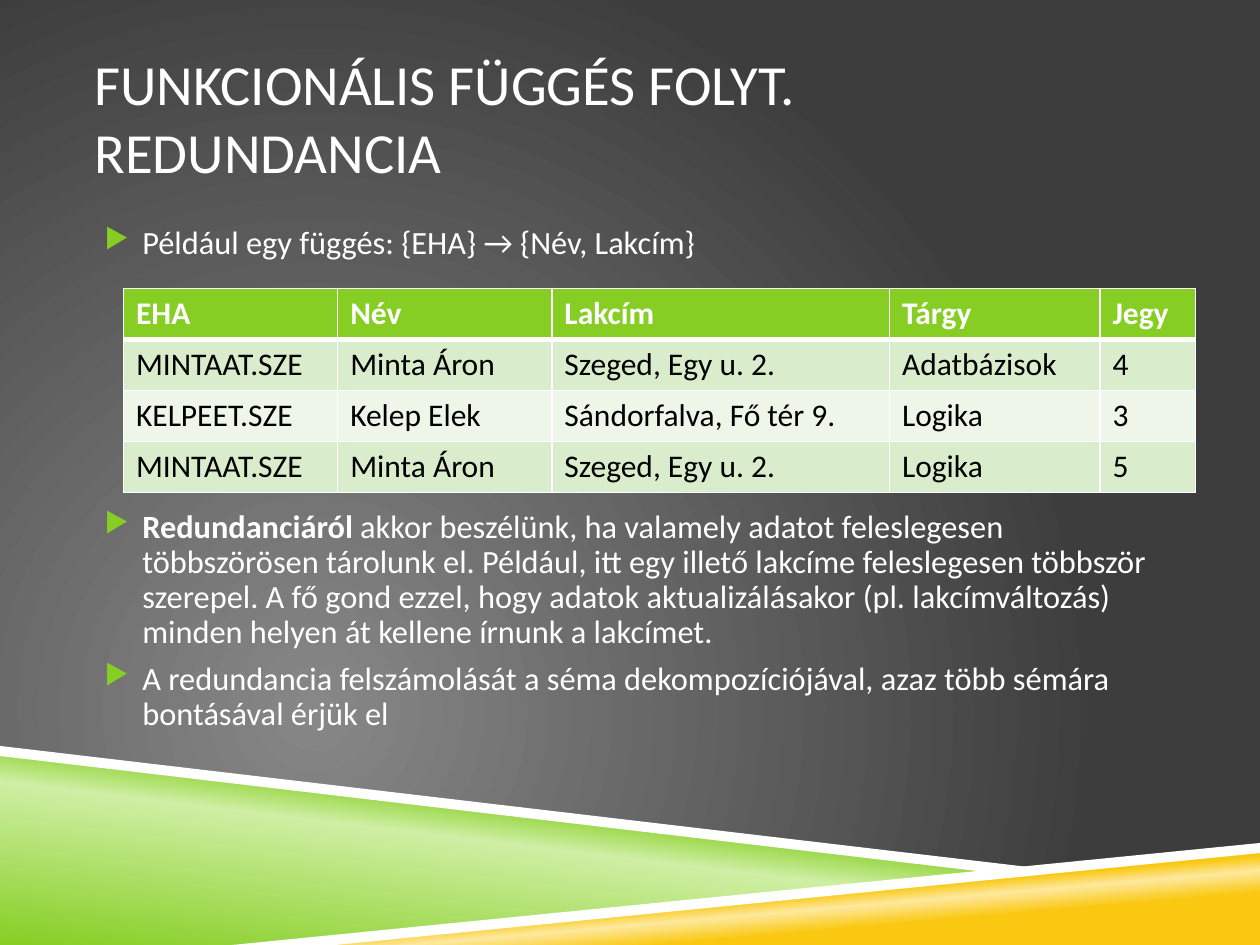
from lxml import etree
from pptx import Presentation
from pptx import util as u
from pptx.dml.color import RGBColor
from pptx.enum import text
from pptx.oxml import ns

COLOURS = {
    "white": "FFFFFF", "black": "000000",
    "grey": "878787", "dark grey": "3D3D3D",
    "green": "86CE24", "light green": "CFEFA4",
    "yellow": "FAC810", "light yellow": "FDE99F",
    "odd row": "D9EDCD", "even row": "EDF6E8",
}
FONT = "Calibri"


def add_element(parent, tag, **attributes):
    element = etree.SubElement(parent, ns.qn(tag))
    for name, value in attributes.items():
        element.set(name, str(value))
    return element


def set_gradient(parent, stops, angle=None):
    """Replace the solid fill of parent by a linear gradient, or a radial one without an angle."""
    gradient = etree.Element(ns.qn("a:gradFill"), rotWithShape="1")
    stop_list = add_element(gradient, "a:gsLst")
    for position, colour in stops:
        stop = add_element(stop_list, "a:gs", pos=position * 1000)
        add_element(stop, "a:srgbClr", val=COLOURS[colour])
    if angle is None:
        circle = add_element(gradient, "a:path", path="circle")
        add_element(circle, "a:fillToRect", l=50000, t=100000, r=100000, b=50000)
    else:
        add_element(gradient, "a:lin", ang=angle * 60000, scaled=0)
    parent.replace(parent.find(ns.qn("a:solidFill")), gradient)


deck = Presentation()
deck.slide_width, deck.slide_height = u.Inches(10), u.Inches(7.5)
page = deck.slides.add_slide(deck.slide_layouts[6])

# Background
page.background.fill.solid()
set_gradient(page.element.find(".//" + ns.qn("p:bgPr")), [(0, "grey"), (100, "dark grey")])

# Wedges and white stripes along the bottom: corners, colour or gradient stops, angle
bands = [
    ([(0, 5.97), (7.92, 6.92), (2, 7.5), (0, 7.5)],
     [(0, "green"), (52, "light green"), (66, "green")], 277),
    ([(1.98, 7.5), (10, 6.72), (10, 7.5)],
     [(28, "yellow"), (40, "light yellow"), (48, "yellow")], 265),
    ([(0, 5.92), (0, 6), (7.9, 6.93), (8.32, 6.9)], "white", None),
    ([(10, 6.69), (1.84, 7.5), (2.66, 7.5), (10, 6.77)], "white", None),
]
for corners, paint, angle in bands:
    points = [(u.Inches(x), u.Inches(y)) for x, y in corners]
    builder = page.shapes.build_freeform(*points[0])
    builder.add_line_segments(points[1:], close=True)
    band = builder.convert_to_shape()
    band.shadow.inherit = False
    band.line.fill.background()
    band.fill.solid()
    if angle is None:
        band.fill.fore_color.rgb = RGBColor.from_string(COLOURS[paint])
    else:
        set_gradient(band.element.spPr, paint, angle)

# Title and body boxes
frames = []
for top, height, anchor in [(0.3, 1.25, text.MSO_ANCHOR.MIDDLE), (1.75, 4.35, text.MSO_ANCHOR.TOP)]:
    box = page.shapes.add_textbox(u.Inches(0.75), u.Inches(top), u.Inches(8.5), u.Inches(height))
    frame = box.text_frame
    frame.word_wrap = True
    frame.vertical_anchor = anchor
    frame.margin_left = frame.margin_right = 0
    frames.append(frame)
title, body = frames

title.text = "FUNKCIONÁLIS FÜGGÉS FOLYT.\vREDUNDANCIA"
for span in title.paragraphs[0].runs:
    span.font.size = u.Pt(32.4)

# Body bullets: space before in points, then bold and plain text; the second clears the table
bullets = [
    (0, "", "Például egy függés: {EHA} → {Név, Lakcím}"),
    (142, "Redundanciáról ",
     "akkor beszélünk, ha valamely adatot feleslegesen többszörösen tárolunk el. "
     "Például, itt egy illető lakcíme feleslegesen többször szerepel. A fő gond ezzel, "
     "hogy adatok aktualizálásakor (pl. lakcímváltozás) minden helyen át kellene írnunk a lakcímet."),
    (7, "", "A redundancia felszámolását a séma dekompozíciójával, "
            "azaz több sémára bontásával érjük el"),
]
for index, (space, bold_text, plain_text) in enumerate(bullets):
    para = body.paragraphs[0] if index == 0 else body.add_paragraph()
    para.line_spacing = 0.9
    para.space_before = u.Pt(space)
    properties = para._p.get_or_add_pPr()
    properties.set("marL", str(u.Inches(0.38)))
    properties.set("indent", str(u.Inches(-0.3)))
    add_element(add_element(properties, "a:buClr"), "a:srgbClr", val=COLOURS["green"])
    add_element(properties, "a:buSzPct", val=85000)
    add_element(properties, "a:buChar", char="▶")
    for words, bold in [(bold_text, True), (plain_text, False)]:
        if words:
            span = para.add_run()
            span.text = words
            span.font.size = u.Pt(18.5)
            span.font.bold = bold

for frame in frames:
    for para in frame.paragraphs:
        for span in para.runs:
            span.font.name = FONT
            span.font.color.rgb = RGBColor.from_string(COLOURS["white"])

# Table
records = [
    ["EHA", "Név", "Lakcím", "Tárgy", "Jegy"],
    ["MINTAAT.SZE", "Minta Áron", "Szeged, Egy u. 2.", "Adatbázisok", "4"],
    ["KELPEET.SZE", "Kelep Elek", "Sándorfalva, Fő tér 9.", "Logika", "3"],
    ["MINTAAT.SZE", "Minta Áron", "Szeged, Egy u. 2.", "Logika", "5"],
]
row_fills = ["green", "odd row", "even row", "odd row"]
table = page.shapes.add_table(len(records), len(records[0]), u.Inches(0.98), u.Inches(2.29),
                              u.Inches(8.52), u.Inches(1.62)).table
for column, width in zip(table.columns, [1.7, 1.7, 2.68, 1.67, 0.76]):
    column.width = u.Inches(width)
for row_index, record in enumerate(records):
    table.rows[row_index].height = u.Inches(1.62 / len(records))
    header = row_index == 0
    for column_index, words in enumerate(record):
        cell = table.cell(row_index, column_index)
        cell.text = words
        cell.fill.solid()
        cell.fill.fore_color.rgb = RGBColor.from_string(COLOURS[row_fills[row_index]])
        font = cell.text_frame.paragraphs[0].runs[0].font
        font.name, font.size, font.bold = FONT, u.Pt(18), header
        font.color.rgb = RGBColor.from_string(COLOURS["white" if header else "black"])

        # White rules, heavier under the header
        properties = cell._tc.get_or_add_tcPr()
        for order, side in enumerate("LRTB"):
            heavy = (row_index, side) in [(0, "B"), (1, "T")]
            rule = etree.Element(ns.qn("a:ln" + side), w=str(u.Pt(3 if heavy else 1)))
            add_element(add_element(rule, "a:solidFill"), "a:srgbClr", val=COLOURS["white"])
            properties.insert(order, rule)

deck.save("out.pptx")
